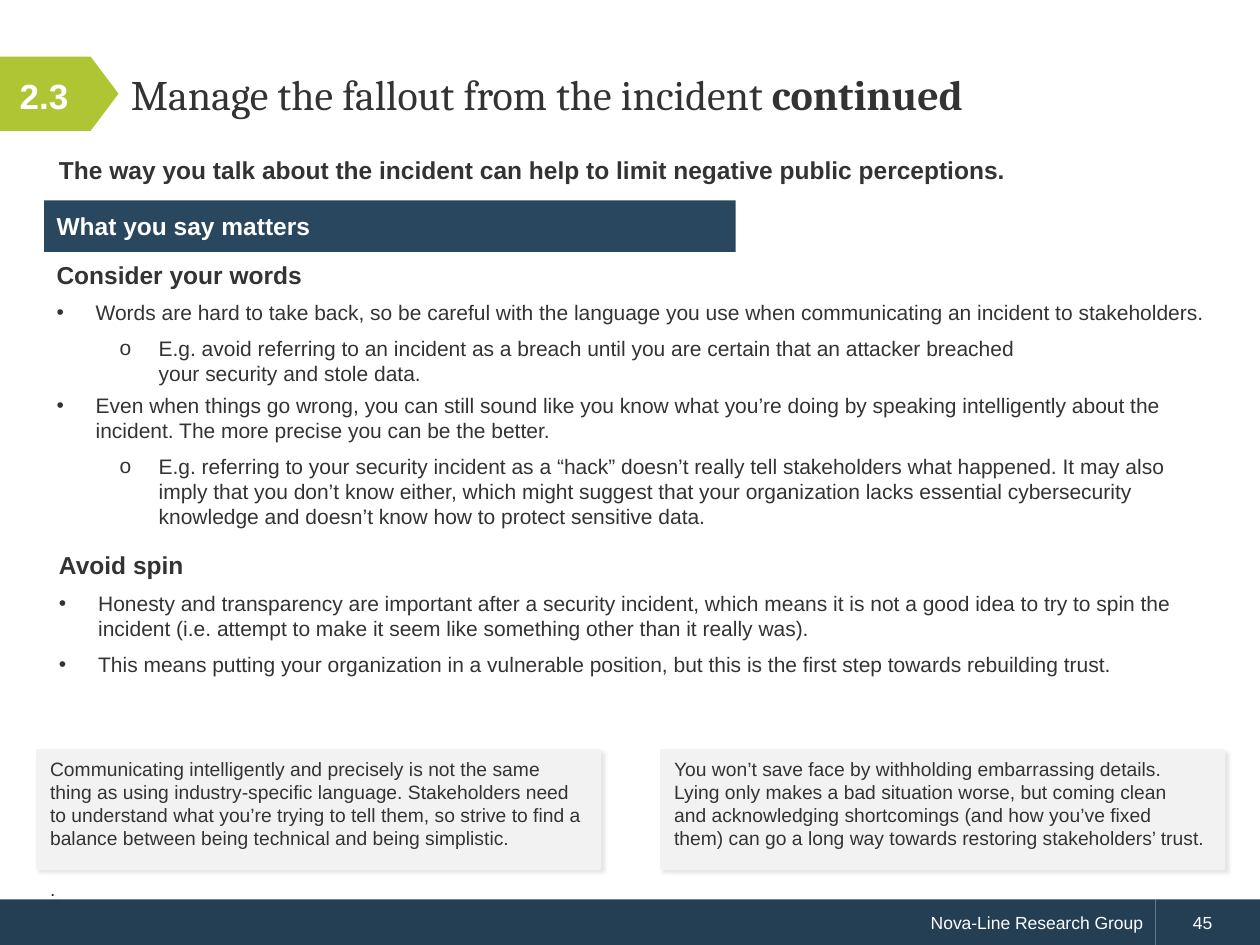
"""Build the slide on managing the fallout from an incident."""
from lxml import etree
from pptx import Presentation, util as u
from pptx.dml.color import RGBColor
from pptx.enum import shapes, text
from pptx.oxml import ns

THEME = {
    "body_font": "Arial", "title_font": "Cambria",
    "ink": "333333", "white": "FFFFFF", "navy": "243F54", "band": "29475F",
    "green": "B0C534", "note": "F2F2F2", "shadow": "000000",
    "title": 24, "number": 20, "heading": 14, "body": 12, "small": 11, "footer": 10,
}

TITLE = ("Manage the fallout from the incident ", "continued")
NUMBER = "2.3"
LEAD = "The way you talk about the incident can help to limit negative public perceptions."
BAND = "What you say matters"
FOOTER = "Nova-Line Research Group"
PAGE = "45"

# Each section: box, heading, then (level, space after, text)
SECTIONS = [
    ((0.89, 5.11, 23.77, 5.82), "Consider your words", [
        (0, 6, "Words are hard to take back, so be careful with the language you use when "
               "communicating an incident to stakeholders."),
        (1, 4, "E.g. avoid referring to an incident as a breach until you are certain that "
               "an attacker breached\vyour security and stole data."),
        (0, 6, "Even when things go wrong, you can still sound like you know what you’re doing "
               "by speaking intelligently about the incident. The more precise you can be the better."),
        (1, 6, "E.g. referring to your security incident as a “hack” doesn’t really tell "
               "stakeholders what happened. It may also imply that you don’t know either, which "
               "might suggest that your organization lacks essential cybersecurity knowledge and "
               "doesn’t know how to protect sensitive data."),
    ]),
    ((0.94, 10.97, 24.05, 2.82), "Avoid spin", [
        (0, 6, "Honesty and transparency are important after a security incident, which means it "
               "is not a good idea to try to spin the incident (i.e. attempt to make it seem like "
               "something other than it really was)."),
        (0, 6, "This means putting your organization in a vulnerable position, but this is the "
               "first step towards rebuilding trust."),
    ]),
]

NOTES = [
    (0.76, ["Communicating intelligently and precisely is not the same thing as using "
            "industry-specific language. Stakeholders need to understand what you’re trying to "
            "tell them, so strive to find a balance between being technical and being simplistic.",
            "."]),
    (13.34, ["You won’t save face by withholding embarrassing details.\v"
             "Lying only makes a bad situation worse, but coming clean\v"
             "and acknowledging shortcomings (and how you’ve fixed\v"
             "them) can go a long way towards restoring stakeholders’ trust."]),
]
NOTE_TOP, NOTE_WIDTH, NOTE_HEIGHT, NOTE_GAP = 15.14, 11.33, 2.36, 15.5
BULLETS = [("•", 0.79), ("o", 2.06)]
HANGING = 0.79
FOOTER_TOP, FOOTER_HEIGHT, FOOTER_SPLIT = 18.13, 0.94, 23.29
SLIDE_WIDTH, SLIDE_HEIGHT = 25.4, 19.05


def color(name):
    return RGBColor.from_string(THEME[name])


def place(box):
    return [u.Cm(length) for length in box]


def style(paragraph, size, ink="ink", bold=False, font="body_font"):
    for run in paragraph.runs:
        run.font.name = THEME[font]
        run.font.size = u.Pt(THEME[size])
        run.font.bold = bold
        run.font.color.rgb = color(ink)


def prepare(shape, anchor=text.MSO_ANCHOR.TOP):
    frame = shape.text_frame
    frame.word_wrap = True
    frame.vertical_anchor = anchor
    return frame


def write(shape, words, size, ink="ink", bold=False, align=text.PP_ALIGN.LEFT,
          anchor=text.MSO_ANCHOR.MIDDLE):
    frame = prepare(shape, anchor)
    frame.text = words
    for paragraph in frame.paragraphs:
        paragraph.alignment = align
        style(paragraph, size, ink, bold)
    return frame


def add_panel(slide, box, fill, kind=shapes.MSO_SHAPE.RECTANGLE):
    shape = slide.shapes.add_shape(kind, *place(box))
    shape.shadow.inherit = False
    shape.fill.solid()
    shape.fill.fore_color.rgb = color(fill)
    shape.line.fill.background()
    return shape


def add_bullet(paragraph, level):
    mark, margin = BULLETS[level]
    paragraph.level = level
    properties = paragraph._p.get_or_add_pPr()
    properties.set("marL", str(u.Cm(margin)))
    properties.set("indent", str(-u.Cm(HANGING)))
    etree.SubElement(properties, ns.qn("a:buFont"), typeface=THEME["body_font"])
    etree.SubElement(properties, ns.qn("a:buChar"), char=mark)


def add_section(slide, box, heading, items):
    frame = prepare(slide.shapes.add_textbox(*place(box)))
    frame.text = heading
    frame.paragraphs[0].space_after = u.Pt(6)
    style(frame.paragraphs[0], "heading", bold=True)
    for level, space_after, words in items:
        paragraph = frame.add_paragraph()
        paragraph.text = words
        paragraph.space_after = u.Pt(space_after)
        add_bullet(paragraph, level)
        style(paragraph, "body")


def add_soft_shadow(shape):
    effects = shape._element.spPr.find(ns.qn("a:effectLst"))
    shadow = etree.SubElement(effects, ns.qn("a:outerShdw"), blurRad=str(u.Pt(2)),
                              dist=str(u.Pt(2)), dir=str(45 * 60000), rotWithShape="0")
    tint = etree.SubElement(shadow, ns.qn("a:srgbClr"), val=THEME["shadow"])
    etree.SubElement(tint, ns.qn("a:alpha"), val="10000")


def add_note(slide, left, lines):
    shape = add_panel(slide, (left, NOTE_TOP, NOTE_WIDTH, NOTE_HEIGHT), "note")
    shape.line.color.rgb = color("note")
    shape.line.width = u.Pt(2)
    add_soft_shadow(shape)
    frame = write(shape, "\n".join(lines), "small", anchor=text.MSO_ANCHOR.TOP)
    for paragraph in frame.paragraphs[1:]:
        paragraph.space_before = u.Pt(NOTE_GAP)


def add_header(slide):
    badge = add_panel(slide, (0, 1.14, 2.39, 1.5), "green", shapes.MSO_SHAPE.PENTAGON)
    badge.adjustments[0] = 0.376
    number = slide.shapes.add_textbox(*place((0, 0.69, 1.78, 2.49)))
    write(number, NUMBER, "number", "white", True, text.PP_ALIGN.CENTER)

    title = slide.shapes.add_textbox(*place((2.39, 0.74, 22.25, 2.39)))
    paragraph = prepare(title, text.MSO_ANCHOR.MIDDLE).paragraphs[0]
    paragraph.line_spacing = u.Pt(26)
    for words in TITLE:
        paragraph.add_run().text = words
    style(paragraph, "title", font="title_font")
    paragraph.runs[-1].font.bold = True

    lead = slide.shapes.add_textbox(*place((0.94, 3, 22.53, 0.86)))
    write(lead, LEAD, "heading", bold=True, anchor=text.MSO_ANCHOR.TOP)
    band = add_panel(slide, (0.89, 4.04, 13.94, 1.04), "band")
    write(band, BAND, "heading", "white", True)


def add_footer(slide):
    name = add_panel(slide, (0, FOOTER_TOP, FOOTER_SPLIT, FOOTER_HEIGHT), "navy")
    write(name, FOOTER, "footer", "white", align=text.PP_ALIGN.RIGHT)
    page = add_panel(slide, (FOOTER_SPLIT, FOOTER_TOP, SLIDE_WIDTH - FOOTER_SPLIT,
                             FOOTER_HEIGHT), "navy")
    write(page, PAGE, "footer", "white").margin_left = u.Cm(0.76)


def main():
    presentation = Presentation()
    presentation.slide_width = u.Cm(SLIDE_WIDTH)
    presentation.slide_height = u.Cm(SLIDE_HEIGHT)
    slide = presentation.slides.add_slide(presentation.slide_layouts[6])
    add_footer(slide)
    add_header(slide)
    for section in SECTIONS:
        add_section(slide, *section)
    for note in NOTES:
        add_note(slide, *note)
    presentation.save("out.pptx")


if __name__ == "__main__":
    main()
